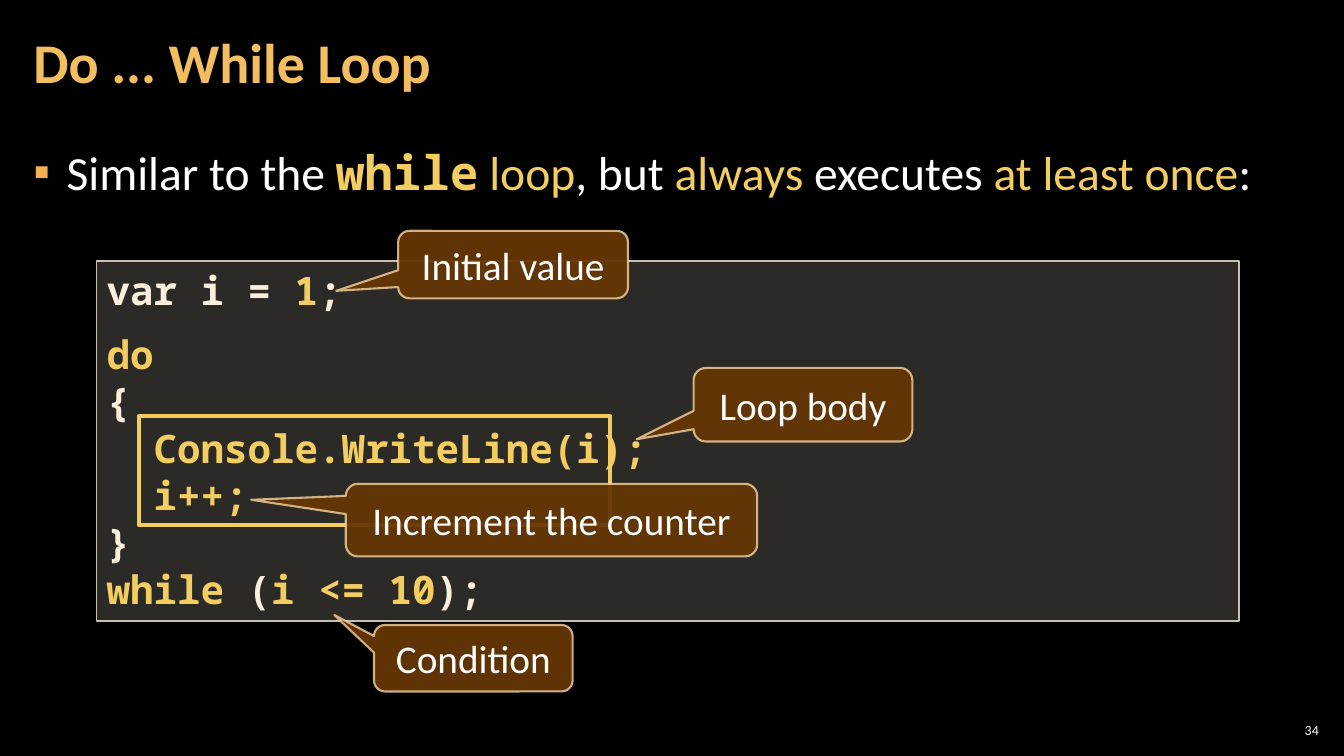
"""Build the slide that explains the do-while loop."""
from lxml.etree import SubElement
from pptx import Presentation
from pptx.dml.color import RGBColor as RGB
from pptx.enum.shapes import MSO_SHAPE as SHAPE
from pptx.enum.text import MSO_ANCHOR as ANCHOR, MSO_AUTO_SIZE as AUTO, PP_ALIGN as ALIGN
from pptx.oxml.ns import qn
from pptx.util import Inches, Pt

COLORS = {
    "black": "000000", "white": "FFFFFF", "title": "F3BE60", "bullet": "F2B254",
    "gold": "F3CD60", "cream": "FBEEDC", "panel": "D9D5C7", "panel_line": "C7BFAC",
    "brown": "663606", "callout_line": "F8D49E",
}
C = {name: RGB.from_string(value) for name, value in COLORS.items()}
SANS, MONO = "Calibri", "Noto Sans Mono"

prs = Presentation()
prs.slide_width, prs.slide_height = Inches(13.33), Inches(7.5)
s = prs.slides.add_slide(prs.slide_layouts[1])
s.background.fill.solid()
s.background.fill.fore_color.rgb = C["black"]


def area(x, y, w, h):
    """Turn percentages of the slide's size into lengths."""
    col, row = prs.slide_width / 100, prs.slide_height / 100
    return int(x * col), int(y * row), int(w * col), int(h * row)


def write(p, text, size, color, font=SANS, bold=False):
    """Add one formatted run to a paragraph."""
    r = p.add_run()
    r.text = text
    r.font.size, r.font.name, r.font.bold = Pt(size), font, bold
    r.font.color.rgb = C[color]


title, body = s.shapes.title, s.placeholders[1]
title.left, title.top, title.width, title.height = area(1.58, 0.53, 78.54, 16.13)
body.left, body.top, body.width, body.height = area(1.58, 17.6, 96.85, 80.4)
for sp, anchor in ((title, ANCHOR.MIDDLE), (body, ANCHOR.TOP)):
    tf = sp.text_frame
    tf.auto_size, tf.vertical_anchor = AUTO.NONE, anchor
    tf.margin_left = tf.margin_right = Inches(0.12)
    tf.margin_top = tf.margin_bottom = Inches(0.04)

p = title.text_frame.paragraphs[0]
p.alignment, p.line_spacing = ALIGN.LEFT, 0.9
write(p, "Do ... While Loop", 40, "title", bold=True)

p = body.text_frame.paragraphs[0]
p.line_spacing, p.space_before, p.space_after = 1.1, Pt(6), Pt(6)
pPr = p._p.get_or_add_pPr()
pPr.set("marL", str(Inches(0.33)))
pPr.set("indent", str(-Inches(0.33)))
SubElement(SubElement(pPr, qn("a:buClr")), qn("a:srgbClr"), val=COLORS["bullet"])
SubElement(pPr, qn("a:buChar"), char="▪")
for text, color, font in (
    ("Similar to the ", "white", SANS), ("while", "gold", MONO), (" loop", "gold", SANS),
    (", but ", "white", SANS), ("always", "gold", SANS), (" executes ", "white", SANS),
    ("at least once", "gold", SANS), (":", "white", SANS),
):
    write(p, text, 34, color, font, bold=font == MONO)

tf = s.shapes.add_textbox(*area(94.9, 95.2, 3.53, 2.8)).text_frame
tf.word_wrap, tf.vertical_anchor = True, ANCHOR.MIDDLE
tf.margin_left = tf.margin_right = tf.margin_top = tf.margin_bottom = Inches(0.04)
p = tf.paragraphs[0]
p.alignment = ALIGN.RIGHT
write(p, "34", 10, "white")

panel = s.shapes.add_shape(SHAPE.RECTANGLE, *area(7.2, 34.53, 85, 47.6))
panel.shadow.inherit = False
panel.fill.solid()
panel.fill.fore_color.rgb = C["panel"]
SubElement(panel._element.spPr.find(".//" + qn("a:srgbClr")), qn("a:alpha"), val="20000")
panel.line.color.rgb, panel.line.width = C["panel_line"], Pt(1)
tf = panel.text_frame
tf.word_wrap, tf.vertical_anchor = True, ANCHOR.TOP

CODE = (
    (0, 0, (("var i = ", "cream"), ("1", "gold"), (";", "cream"))),
    (0, 12, (("do", "gold"),)),
    (0, 0, (("{", "cream"),)),
    (2, 0, (("Console.WriteLine(i);", "gold"),)),
    (2, 0, (("i++;", "gold"),)),
    (0, 0, (("}", "cream"),)),
    (0, 0, (("while", "gold"), (" (", "cream"), ("i <= 10", "gold"), (");", "cream"))),
)
for n, (indent, gap, runs) in enumerate(CODE):
    p = tf.add_paragraph() if n else tf.paragraphs[0]
    p.alignment, p.space_before = ALIGN.LEFT, Pt(gap)
    p._p.get_or_add_pPr().set("marL", str(Pt(indent * 28 * 0.6)))
    for text, color in runs:
        write(p, text, 28, color, MONO, bold=True)

frame = s.shapes.add_shape(SHAPE.RECTANGLE, *area(10.35, 55.07, 35.03, 14.4))
frame.shadow.inherit = False
frame.fill.background()
frame.line.color.rgb, frame.line.width = C["gold"], Pt(3)

CALLOUTS = (
    ("Loop body", (51.61, 48.67, 16.28, 9.73), (-0.76, 0.47)),
    ("Condition", (27.83, 82.67, 14.78, 8.8), (-0.7, -0.65)),
    ("Initial value", (29.63, 30.53, 17.1, 8.93), (-0.77, 0.39)),
    ("Increment the counter", (25.73, 64, 30.61, 9.6), (-0.73, -0.28)),
)
for text, place, tip in CALLOUTS:
    sp = s.shapes.add_shape(SHAPE.ROUNDED_RECTANGULAR_CALLOUT, *area(*place))
    sp.adjustments[0], sp.adjustments[1] = tip
    sp.shadow.inherit = False
    sp.fill.solid()
    sp.fill.fore_color.rgb = C["brown"]
    sp.line.color.rgb, sp.line.width = C["callout_line"], Pt(1.5)
    for clr, alpha in zip(sp._element.spPr.findall(".//" + qn("a:srgbClr")), (95, 80)):
        SubElement(clr, qn("a:alpha"), val=str(alpha * 1000))
    tf = sp.text_frame
    tf.word_wrap, tf.vertical_anchor = True, ANCHOR.MIDDLE
    p = tf.paragraphs[0]
    p.alignment = ALIGN.CENTER
    write(p, text, 28, "white")

prs.save("out.pptx")
